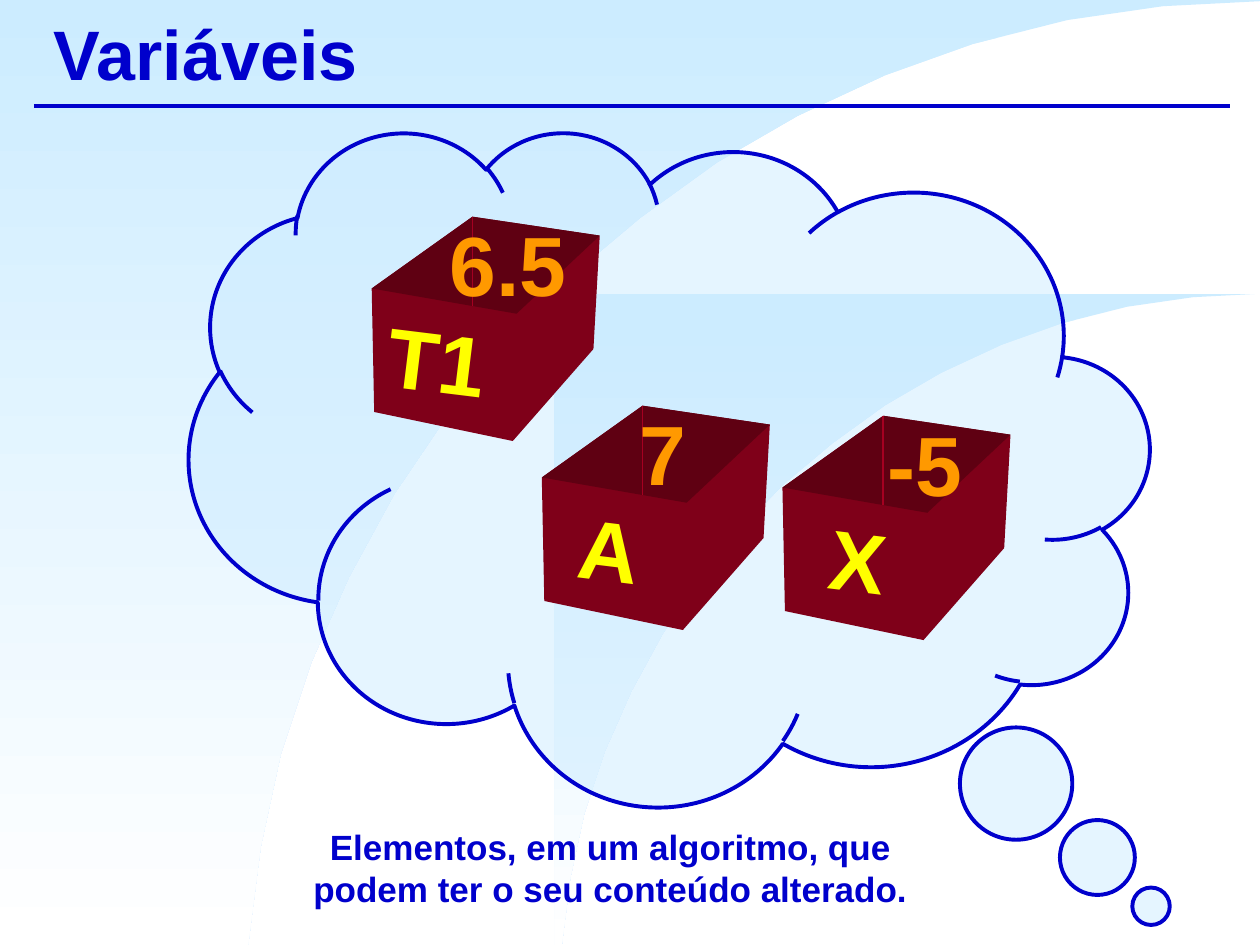
from lxml import etree
from pptx import Presentation
from pptx.dml.color import RGBColor
from pptx.enum.shapes import MSO_CONNECTOR, MSO_SHAPE
from pptx.enum.text import MSO_ANCHOR, PP_ALIGN
from pptx.oxml.ns import qn
from pptx.util import Inches, Pt

STRAIGHT = MSO_CONNECTOR.STRAIGHT
CLOUD = MSO_SHAPE.CLOUD_CALLOUT
MIDDLE = MSO_ANCHOR.MIDDLE
LEFT, CENTER = PP_ALIGN.LEFT, PP_ALIGN.CENTER

COLORS = {
    "sky": "CCECFF",
    "white": "FFFFFF",
    "blue": "0000CC",
    "box": "7F0019",
    "opening": "5F0012",
    "edge": "A50021",
    "value": "FF9900",
    "name": "FFFF00",
}
SLIDE_WIDTH, SLIDE_HEIGHT = 10, 7.5
ARC = [
    (8.03, 0), (7.93, 0.78), (7.77, 1.52), (7.53, 2.24), (7.23, 2.92),
    (6.87, 3.58), (6.45, 4.2), (5.99, 4.77), (5.48, 5.3), (4.92, 5.77),
    (4.31, 6.21), (3.67, 6.58), (2.98, 6.9), (2.28, 7.15), (1.53, 7.34),
    (0.77, 7.45), (0, 7.49),
]
BOX_OUTLINE = [(0, 0.57), (0.8, 0), (1.81, 0.15), (1.76, 1.05), (1.12, 1.78), (0.02, 1.55)]
BOX_OPENING = [(0, 0.57), (0.8, 0), (1.81, 0.15), (1.15, 0.77)]
VARIABLES = [
    ("A", "7", 4.3, 3.22, 0.54, 0.96),
    ("X", "-5", 6.21, 3.3, 0.6, 1.13),
    ("T1", "6.5", 2.95, 1.72, 0.52, 1.08),
]


def rgb(name):
    return RGBColor.from_string(COLORS[name])


def add_polygon(slide, points):
    corners = [(Inches(x), Inches(y)) for x, y in points]
    builder = slide.shapes.build_freeform(*corners[0], scale=1)
    builder.add_line_segments(corners[1:], close=True)
    shape = builder.convert_to_shape()
    shape.shadow.inherit = False
    shape.line.fill.background()
    return shape


def add_line(slide, start, end, color, width):
    line = slide.shapes.add_connector(STRAIGHT, *map(Inches, start + end))
    line.line.color.rgb = rgb(color)
    line.line.width = Pt(width)
    etree.SubElement(line._element.spPr, qn("a:effectLst"))


def add_text(slide, text, box, size, color, alignment=CENTER, wrap=True, inset=0, rotation=0):
    shape = slide.shapes.add_textbox(*map(Inches, box))
    shape.rotation = rotation
    frame = shape.text_frame
    frame_format = {
        "word_wrap": wrap, "vertical_anchor": MIDDLE,
        "margin_left": Inches(inset), "margin_right": Inches(inset),
        "margin_top": Inches(inset / 2), "margin_bottom": Inches(inset / 2),
    }
    for name, value in frame_format.items():
        setattr(frame, name, value)
    paragraph = frame.paragraphs[0]
    paragraph.alignment = alignment
    run = paragraph.add_run()
    run.text = text
    for name, value in {"name": "Arial", "size": Pt(size), "bold": True}.items():
        setattr(run.font, name, value)
    run.font.color.rgb = rgb(color)


def add_wing(slide, left, top, scale):
    arc = [(SLIDE_WIDTH - x * scale, SLIDE_HEIGHT - y * scale) for x, y in ARC]
    corners = [(SLIDE_WIDTH, top), (left, top), (left, SLIDE_HEIGHT)]
    fill = add_polygon(slide, arc + corners).fill
    fill.gradient()
    fill.gradient_angle = 270
    for stop, color in zip(fill.gradient_stops, ("sky", "white")):
        stop.color.rgb = rgb(color)


def add_cloud(slide, left, top, width, height):
    cloud = slide.shapes.add_shape(CLOUD, *map(Inches, (left, top, width, height)))
    cloud.shadow.inherit = False
    cloud.adjustments[0] = -0.502
    cloud.adjustments[1] = 0.65
    cloud._element.spPr.find(qn("a:xfrm")).set("flipH", "1")
    cloud.fill.solid()
    cloud.fill.fore_color.rgb = rgb("sky")
    color = cloud._element.spPr.find(qn("a:solidFill")).find(qn("a:srgbClr"))
    etree.SubElement(color, qn("a:alpha")).set("val", "50000")
    cloud.line.color.rgb = rgb("blue")
    cloud.line.width = Pt(2.25)


def add_variable_box(slide, name, value, left, top, name_x, value_x):
    for points, color in ((BOX_OUTLINE, "box"), (BOX_OPENING, "opening")):
        face = add_polygon(slide, [(left + x, top + y) for x, y in points])
        face.fill.solid()
        face.fill.fore_color.rgb = rgb(color)
    add_line(slide, (left + 0.8, top), (left + 0.8, top + 0.71), "edge", 1)
    width, height = 1.2, 0.91
    labels = [(value, value_x, 0.37, "value", 0), (name, name_x, 1.13, "name", 7)]
    for text, x, y, color, rotation in labels:
        box = (left + x - width / 2, top + y - height / 2, width, height)
        add_text(slide, text, box, 48, color, rotation=rotation)


def add_title(slide, left, top, width, height):
    add_text(slide, "Variáveis", (left, top, width, height), 40, "blue", LEFT, inset=0.1)
    add_line(slide, (0.27, 0.84), (9.76, 0.84), "blue", 2.25)


def main():
    presentation = Presentation()
    presentation.slide_width = Inches(SLIDE_WIDTH)
    presentation.slide_height = Inches(SLIDE_HEIGHT)
    slide = presentation.slides.add_slide(presentation.slide_layouts[6])
    add_wing(slide, 0, 0, 1)
    add_wing(slide, 4.4, 2.33, 0.69)
    add_title(slide, 0.33, 0, 9.42, 0.83)
    add_cloud(slide, 1.5, 1.04, 7.62, 5.35)
    for variable in VARIABLES:
        add_variable_box(slide, *variable)
    add_text(
        slide, "Elementos, em um algoritmo, que podem ter o seu conteúdo alterado.",
        (2.09, 6.51, 5.51, 0.75), 20, "blue", inset=0.08,
    )
    presentation.save("out.pptx")


if __name__ == "__main__":
    main()
